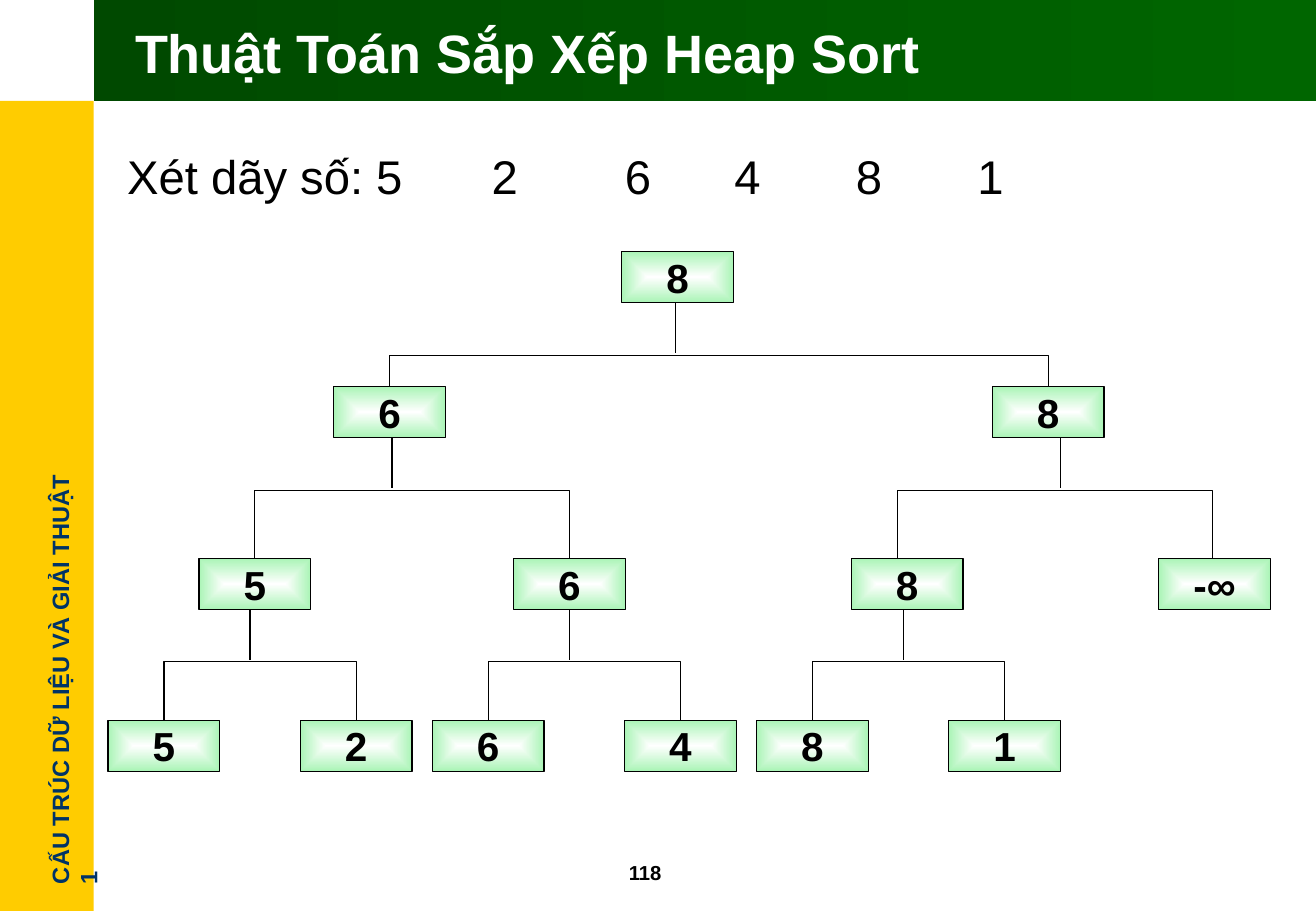
import pptx
import pptx.dml.color
import pptx.enum.shapes
import pptx.enum.text
import pptx.oxml
import pptx.oxml.ns
import pptx.util

Cm = pptx.util.Cm
Pt = pptx.util.Pt
RGBColor = pptx.dml.color.RGBColor
Align = pptx.enum.text.PP_ALIGN
Anchor = pptx.enum.text.MSO_ANCHOR

BLACK = RGBColor(0, 0, 0)
WHITE = RGBColor(255, 255, 255)
YELLOW = RGBColor(0xFF, 0xCC, 0x00)
NAVY = RGBColor(0x00, 0x33, 0x66)
DARK_GREEN = RGBColor(0x00, 0x49, 0x00)
GREEN = RGBColor(0x00, 0x66, 0x00)
MINT = RGBColor(0xAA, 0xF4, 0xB6)

NODE_WIDTH, NODE_HEIGHT, STEM_LENGTH = 2.34, 1.07, 1.05
LEAF_START, LEAF_GAP, PAIR_STEP = 3.43, 4.02, 6.78
LEAF_TOP, LEAF_BAR = 15.06, 13.83
SEQUENCE_TABS = (7.62, 10.41, 12.7, 15.24, 17.78)

INNER_NODES = [
    ("8", 14.17, 5.26, 14.12),
    ("6", 8.15, 8.08, 8.2),
    ("8", 21.92, 8.08, 22.17),
    ("5", 5.33, 11.68, 5.23),
    ("6", 11.91, 11.68, 11.91),
    ("8", 18.97, 11.68, 18.9),
    ("-∞", 25.4, 11.68, None),
]
INNER_BRACKETS = [
    (8.15, 21.92, 7.44, 8.08),
    (5.33, 11.91, 10.25, 11.68),
    (18.77, 25.35, 10.25, 11.68),
]
LEAF_PAIRS = ["52", "64", "81"]


class TreeSlide:
    font_name = "Arial"
    line_width = Pt(0.75)

    def __init__(self, presentation):
        self.slide = presentation.slides.add_slide(presentation.slide_layouts[5])
        self.shapes = self.slide.shapes

    def fill_text(self, shape, text, size, color=BLACK, bold=True, align=Align.LEFT,
                  anchor=Anchor.TOP, wrap=True, tabs=()):
        frame = shape.text_frame
        frame.auto_size = pptx.enum.text.MSO_AUTO_SIZE.NONE
        frame.word_wrap = wrap
        frame.vertical_anchor = anchor
        paragraph = frame.paragraphs[0]
        paragraph.alignment = align
        if tabs:
            properties = paragraph._p.get_or_add_pPr()
            tab_list = properties.makeelement(pptx.oxml.ns.qn("a:tabLst"), {})
            for position in tabs:
                stop = tab_list.makeelement(
                    pptx.oxml.ns.qn("a:tab"), {"pos": str(Cm(position)), "algn": "l"})
                tab_list.append(stop)
            properties.append(tab_list)
        run = paragraph.add_run()
        run.text = text
        run.font.name = self.font_name
        run.font.size = Pt(size)
        run.font.bold = bold
        run.font.color.rgb = color

    def title(self, text, left, top, width, height):
        shape = self.shapes.title
        shape.left, shape.top, shape.width, shape.height = map(Cm, (left, top, width, height))
        self.fill_text(shape, text, 32, WHITE, anchor=Anchor.MIDDLE)
        shape._element.getparent().append(shape._element)

    def text(self, text, left, top, width, height, size, rotation=0, **style):
        shape = self.shapes.add_textbox(*map(Cm, (left, top, width, height)))
        shape.rotation = rotation
        self.fill_text(shape, text, size, **style)

    def rectangle(self, left, top, width, height, colors):
        shape = self.shapes.add_shape(
            pptx.enum.shapes.MSO_SHAPE.RECTANGLE, *map(Cm, (left, top, width, height)))
        shape.shadow.inherit = False
        shape.line.fill.background()
        if len(colors) == 1:
            shape.fill.solid()
            shape.fill.fore_color.rgb = colors[0]
        else:
            shape.fill.gradient()
            shape.fill.gradient_angle = 0
            for stop, color in zip(shape.fill.gradient_stops, colors):
                stop.color.rgb = color
        return shape

    def outline(self, shape):
        shape.line.color.rgb = BLACK
        shape.line.width = self.line_width

    def node(self, text, center, top):
        shape = self.rectangle(center - NODE_WIDTH / 2, top, NODE_WIDTH, NODE_HEIGHT,
                               (WHITE, MINT))
        linear = shape._element.spPr.find(".//" + pptx.oxml.ns.qn("a:lin"))
        radial = pptx.oxml.parse_xml(
            '<a:path %s path="rect"><a:fillToRect l="50000" t="50000" r="50000" b="50000"/>'
            '</a:path>' % pptx.oxml.ns.nsdecls("a"))
        linear.getparent().replace(linear, radial)
        self.outline(shape)
        self.fill_text(shape, text, 24, align=Align.CENTER, anchor=Anchor.MIDDLE, wrap=False)
        return shape

    def stem(self, node, x, top, centered):
        connector = self.shapes.add_connector(
            pptx.enum.shapes.MSO_CONNECTOR.STRAIGHT,
            Cm(x), Cm(top), Cm(x), Cm(top + STEM_LENGTH))
        if centered:
            connector.begin_connect(node, 2)
        self.outline(connector)
        properties = connector._element.spPr
        properties.append(properties.makeelement(pptx.oxml.ns.qn("a:effectLst"), {}))

    def bracket(self, left, right, bar, bottom):
        builder = self.shapes.build_freeform(Cm(left), Cm(bottom))
        corners = [(left, bar), (right, bar), (right, bottom)]
        builder.add_line_segments([(Cm(x), Cm(y)) for x, y in corners], close=False)
        shape = builder.convert_to_shape()
        shape.shadow.inherit = False
        shape.fill.background()
        self.outline(shape)


def main():
    presentation = pptx.Presentation()
    presentation.slide_width = Cm(27.52)
    presentation.slide_height = Cm(19.05)
    page = TreeSlide(presentation)

    page.rectangle(0, 2.11, 1.96, 16.94, (YELLOW,))
    page.text("CẤU TRÚC DỮ LIỆU VÀ GIẢI THUẬT 1", -3.48, 13.59, 9.45, 0.84, 14,
              rotation=270, color=NAVY)
    page.rectangle(1.96, 0, 25.56, 2.11, (DARK_GREEN, GREEN))
    page.text("118", 12.9, 17.86, 2.11, 0.76, 12)
    page.title("Thuật Toán Sắp Xếp Heap Sort", 2.57, 0.23, 24.41, 1.7)
    page.text("Xét dãy số: 5\t2\t6\t4\t8\t1", 2.41, 2.95, 20.75, 1.45, 28,
              bold=False, tabs=SEQUENCE_TABS)

    for index, pair in enumerate(LEAF_PAIRS):
        left = LEAF_START + index * PAIR_STEP
        right = left + LEAF_GAP
        for value, center in zip(pair, (left, right)):
            page.node(value, center, LEAF_TOP)
        page.bracket(left, right, LEAF_BAR, LEAF_TOP)

    for bracket in INNER_BRACKETS:
        page.bracket(*bracket)
    for value, center, top, stem in INNER_NODES:
        node = page.node(value, center, top)
        if stem is not None:
            page.stem(node, stem, top + NODE_HEIGHT, stem == center)

    presentation.save("out.pptx")


if __name__ == "__main__":
    main()
